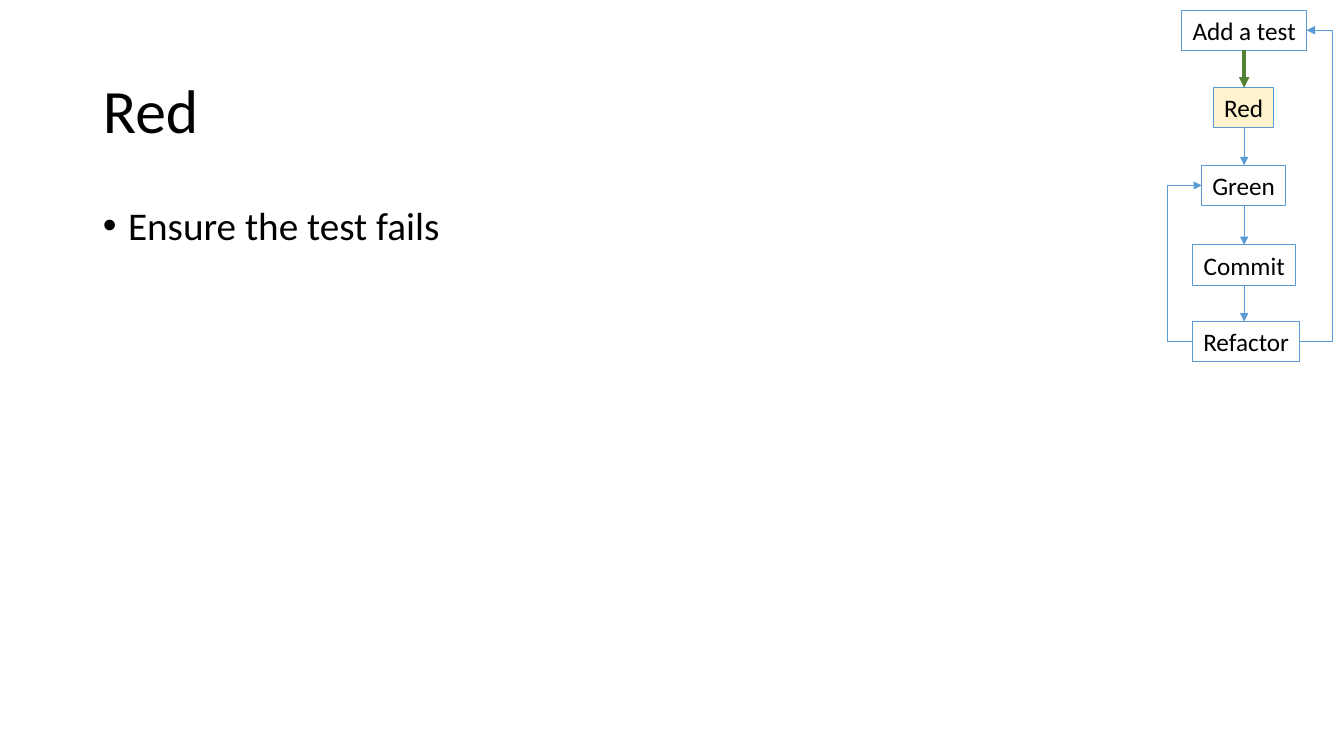
from dataclasses import dataclass
from itertools import pairwise

from lxml.etree import SubElement
from pptx import Presentation
from pptx.dml.color import RGBColor
from pptx.enum.shapes import MSO_CONNECTOR, MSO_SHAPE
from pptx.enum.text import MSO_ANCHOR, MSO_AUTO_SIZE, PP_ALIGN
from pptx.oxml.ns import qn
from pptx.util import Inches, Pt


@dataclass(frozen=True)
class Theme:
    font: str = "Calibri"
    text: RGBColor = RGBColor(0x00, 0x00, 0x00)
    outline: RGBColor = RGBColor(0x5B, 0x9B, 0xD5)
    current: RGBColor = RGBColor(0xFF, 0xF2, 0xCC)
    done: RGBColor = RGBColor(0x54, 0x82, 0x35)
    title_size: int = 44
    body_size: int = 28
    step_size: int = 18
    box_line: float = 0.75
    arrow_line: float = 0.5
    done_line: float = 2.5


THEME = Theme()
STEP_HEIGHT = 0.4
STEPS = [
    ("Add a test", 0.14, 0, 1.24),
    ("Red", 0.46, 0.77, 0.59),
    ("Green", 0.34, 1.54, 0.83),
    ("Commit", 0.25, 2.33, 1.02),
    ("Refactor", 0.25, 3.09, 1.06),
]


def apply(target, formats):
    for attribute, value in formats.items():
        setattr(target, attribute, value)


def place(target, box):
    apply(target, dict(zip(("left", "top", "width", "height"), map(Inches, box))))


def write(frame, wording, size, paragraph_formats, frame_formats):
    apply(frame, frame_formats)
    paragraph = frame.paragraphs[0]
    apply(paragraph, paragraph_formats)
    run = paragraph.add_run()
    run.text = wording
    apply(run.font, {"name": THEME.font, "size": Pt(size)})
    run.font.color.rgb = THEME.text
    return paragraph


def add_title(slide, box, wording):
    title = slide.shapes.title
    place(title, box)
    write(title.text_frame, wording, THEME.title_size,
          {"alignment": PP_ALIGN.LEFT, "line_spacing": 0.9},
          {"vertical_anchor": MSO_ANCHOR.MIDDLE, "auto_size": MSO_AUTO_SIZE.NONE})


def add_points(slide, box, wording):
    points = slide.placeholders[1]
    place(points, box)
    paragraph = write(points.text_frame, wording, THEME.body_size,
                      {"line_spacing": 0.9, "space_before": Pt(10)},
                      {"auto_size": MSO_AUTO_SIZE.NONE})
    properties = paragraph._p.get_or_add_pPr()
    properties.set("marL", str(Inches(0.25)))
    properties.set("indent", str(Inches(-0.25)))
    SubElement(properties, qn("a:buFont")).set("typeface", "Arial")
    SubElement(properties, qn("a:buChar")).set("char", "•")


def add_step(slide, box, wording, is_current):
    step = slide.shapes.add_shape(MSO_SHAPE.RECTANGLE, *map(Inches, box))
    step.shadow.inherit = False
    if is_current:
        step.fill.solid()
        step.fill.fore_color.rgb = THEME.current
    else:
        step.fill.background()
    step.line.color.rgb = THEME.outline
    step.line.width = Pt(THEME.box_line)
    write(step.text_frame, wording, THEME.step_size,
          {"alignment": PP_ALIGN.CENTER},
          {"word_wrap": False, "auto_size": MSO_AUTO_SIZE.SHAPE_TO_FIT_TEXT})


def add_arrow(slide, start, end, color, width, bend_x=None):
    kind = MSO_CONNECTOR.STRAIGHT if bend_x is None else MSO_CONNECTOR.ELBOW
    arrow = slide.shapes.add_connector(kind, *map(Inches, (*start, *end)))
    arrow.line.color.rgb = color
    arrow.line.width = Pt(width)
    properties = arrow._element.spPr
    SubElement(properties.find(qn("a:ln")), qn("a:tailEnd")).set("type", "triangle")
    SubElement(properties, qn("a:effectLst"))
    if bend_x is not None:
        ratio = (bend_x - start[0]) / (end[0] - start[0])
        guides = properties.find(qn("a:prstGeom")).get_or_add_avLst()
        guide = SubElement(guides, qn("a:gd"))
        guide.set("name", "adj1")
        guide.set("fmla", f"val {round(ratio * 100000)}")


def add_cycle(slide, box, current):
    left, top, width, _ = box
    boxes = {name: (left + x, top + y, w, STEP_HEIGHT) for name, x, y, w in STEPS}
    for name, step_box in boxes.items():
        add_step(slide, step_box, name, name == current)

    axis = left + 0.76
    for (_, upper), (name, lower) in pairwise(boxes.items()):
        color, weight = ((THEME.done, THEME.done_line) if name == current
                         else (THEME.outline, THEME.arrow_line))
        add_arrow(slide, (axis, upper[1] + STEP_HEIGHT), (axis, lower[1]), color, weight)

    for target, side, bend_x in (("Add a test", 1, left + width), ("Green", 0, left)):
        start, end = (
            (x + side * w, y + h / 2)
            for x, y, w, h in (boxes["Refactor"], boxes[target])
        )
        add_arrow(slide, start, end, THEME.outline, THEME.arrow_line, bend_x)


def main():
    deck = Presentation()
    apply(deck, {"slide_width": Inches(13.33), "slide_height": Inches(7.5)})
    slide = deck.slides.add_slide(deck.slide_layouts[1])
    add_title(slide, (0.92, 0.4, 11.5, 1.45), "Red")
    add_points(slide, (0.92, 2, 11.5, 4.76), "Ensure the test fails")
    add_cycle(slide, (11.58, 0.1, 1.63, 3.49), "Red")
    deck.save("out.pptx")


main()
